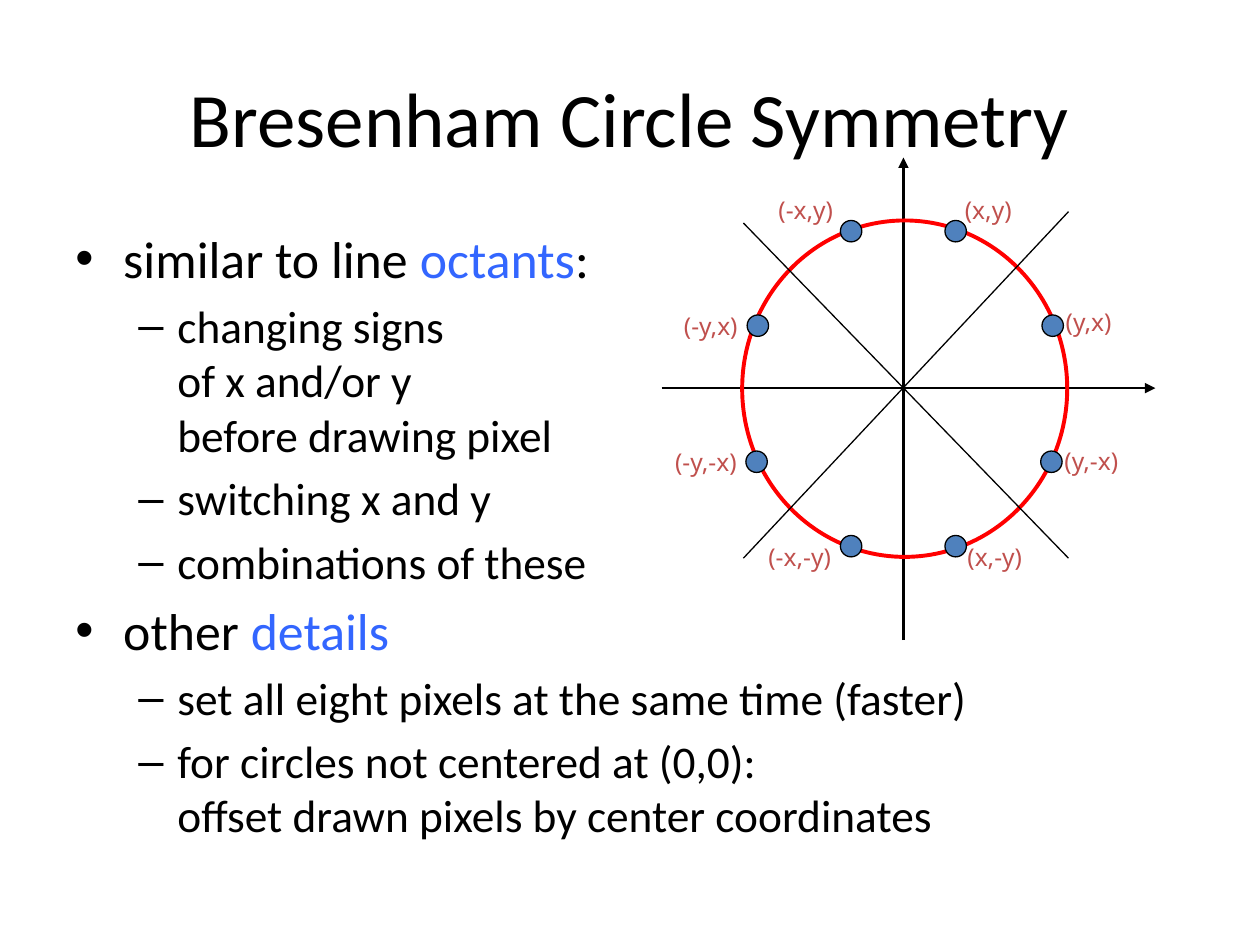
import pptx
import pptx.util
import pptx.dml.color
import pptx.enum.shapes
import pptx.enum.text
import pptx.oxml.ns
from lxml import etree

Inches = pptx.util.Inches
Pt = pptx.util.Pt

# Content
BLACK, BLUE, RED = "000000", "3366FF", "FF0000"
DOT_FILL, LABEL_COLOR = "4F81BD", "C0504D"
TITLE = "Bresenham Circle Symmetry"
# Each paragraph: level, runs of (text, colour)
BODY = [
    (0, [("similar to line ", BLACK), ("octants", BLUE), (":", BLACK)]),
    (1, [("changing signs\nof x and/or y\nbefore drawing pixel", BLACK)]),
    (1, [("switching x and y", BLACK)]),
    (1, [("combinations of these", BLACK)]),
    (0, [("other ", BLACK), ("details", BLUE)]),
    (1, [("set all eight pixels at the same time (faster)", BLACK)]),
    (1, [("for circles not centered at (0,0):\n"
          "offset drawn pixels by center coordinates", BLACK)]),
]
# Each level: size in points, left margin, hanging indent, bullet
LEVELS = [(29.6, 0.38, -0.38, "\u2022"), (25.9, 0.81, -0.31, "\u2013")]
CIRCLE = (5.89, 1.75, 2.58, 2.67)
# Start, end, width in points, arrow at end
LINES = [
    ((7.17, 5.08), (7.17, 1.25), 1.5, True),
    ((5.25, 3.08), (9.17, 3.08), 1.5, True),
    ((5.9, 4.43), (8.48, 1.68), 0.75, False),
    ((5.9, 1.77), (8.48, 4.43), 0.75, False),
]
DOT_SIZE = 0.17
# Each octant point: label, dot corner, label corner, label width
POINTS = [
    ("(x,y)", (7.5, 1.75), (7.56, 1.5), 0.6),
    ("(x,-y)", (7.5, 4.25), (7.58, 4.25), 0.67),
    ("(-x,y)", (6.67, 1.75), (6.08, 1.5), 0.67),
    ("(-x,-y)", (6.67, 4.25), (6, 4.25), 0.74),
    ("(y,x)", (8.27, 2.5), (8.36, 2.39), 0.6),
    ("(y,-x)", (8.26, 3.58), (8.35, 3.49), 0.67),
    ("(-y,x)", (5.93, 2.5), (5.33, 2.42), 0.67),
    ("(-y,-x)", (5.92, 3.58), (5.26, 3.5), 0.74),
]


def color(value):
    return pptx.dml.color.RGBColor.from_string(value)


def add_child(parent, tag, **attributes):
    return etree.SubElement(parent, pptx.oxml.ns.qn(tag), attributes)


def add_text(paragraph, text, size, font, text_color):
    for index, line in enumerate(text.split("\n")):
        if index:
            paragraph.add_line_break()
        run = paragraph.add_run()
        run.text = line
        run.font.size = Pt(size)
        run.font.name = font
        run.font.color.rgb = color(text_color)


def add_box(left, top, width, height, wrap=True):
    shape = slide.shapes.add_textbox(*map(Inches, (left, top, width, height)))
    shape.text_frame.word_wrap = wrap
    return shape.text_frame


def add_ellipse(left, top, width, height, fill, line_color, line_width):
    shape = diagram.shapes.add_shape(
        pptx.enum.shapes.MSO_SHAPE.OVAL,
        *map(Inches, (left, top, width, height)))
    shape.shadow.inherit = False
    if fill:
        shape.fill.solid()
        shape.fill.fore_color.rgb = color(fill)
    else:
        shape.fill.background()
    shape.line.color.rgb = color(line_color)
    shape.line.width = Pt(line_width)


def add_line(start, end, width, arrow):
    connector = diagram.shapes.add_connector(
        pptx.enum.shapes.MSO_CONNECTOR.STRAIGHT, *map(Inches, start + end))
    connector.line.color.rgb = color(BLACK)
    connector.line.width = Pt(width)
    if arrow:
        add_child(connector.line._get_or_add_ln(), "a:tailEnd", type="triangle")
    add_child(connector._element.spPr, "a:effectLst")


presentation = pptx.Presentation()
presentation.slide_width, presentation.slide_height = Inches(10), Inches(7.5)
slide = presentation.slides.add_slide(presentation.slide_layouts[6])

# Title
frame = add_box(0.5, 0.3, 9, 1.25)
frame.vertical_anchor = pptx.enum.text.MSO_ANCHOR.MIDDLE
frame.paragraphs[0].alignment = pptx.enum.text.PP_ALIGN.CENTER
add_text(frame.paragraphs[0], TITLE, 44, "Calibri", BLACK)

# Bulleted body
frame = add_box(0.5, 1.75, 9, 4.95)
for index, (level, runs) in enumerate(BODY):
    paragraph = frame.add_paragraph() if index else frame.paragraphs[0]
    size, margin, indent, bullet = LEVELS[level]
    paragraph.level = level
    paragraph.space_before = Pt(round(size * 0.2, 1))
    properties = paragraph._p.get_or_add_pPr()
    properties.set("marL", str(Inches(margin)))
    properties.set("indent", str(Inches(indent)))
    add_child(properties, "a:buFont", typeface="Arial")
    add_child(properties, "a:buChar", char=bullet)
    for text, text_color in runs:
        add_text(paragraph, text, size, "Calibri", text_color)

# Circle with axes, diagonals and octant points
diagram = slide.shapes.add_group_shape()
for line in LINES[:2]:
    add_line(*line)
add_ellipse(*CIRCLE, None, RED, 2.25)
for line in LINES[2:]:
    add_line(*line)
for label, dot, corner, width in POINTS:
    add_ellipse(*dot, DOT_SIZE, DOT_SIZE, DOT_FILL, BLACK, 0.75)

# Point labels
for label, dot, corner, width in POINTS:
    frame = add_box(*corner, width, 0.33, wrap=False)
    add_text(frame.paragraphs[0], label, 14, "Noto Sans", LABEL_COLOR)

presentation.save("out.pptx")
